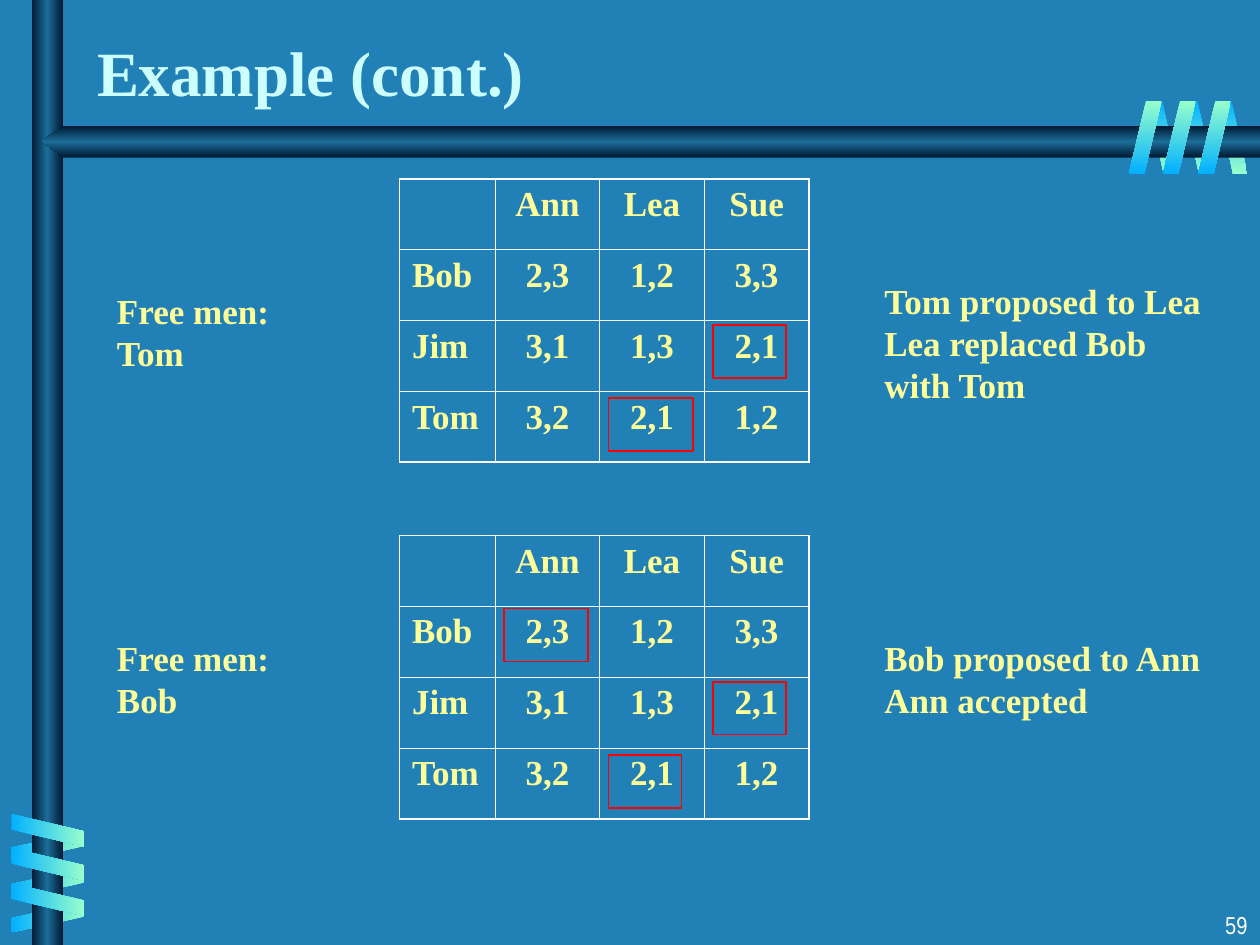
from dataclasses import dataclass

from lxml import etree
from pptx import Presentation
from pptx import util as u
from pptx.dml.color import RGBColor
from pptx.enum import shapes, text
from pptx.oxml import ns


@dataclass(frozen=True)
class Theme:
    background: str = "2181B7"
    title: str = "CCFFFF"
    body: str = "FFFF99"
    white: str = "FFFFFF"
    mark: str = "FF0000"
    mint: str = "99FFCC"
    sky: str = "01B0FF"
    bar_edge: str = "001932"
    bar_middle: str = "1C6D9A"
    serif: str = "Times New Roman"
    narrow: str = "Arial Narrow"
    title_size: int = 36
    body_size: int = 20
    number_size: int = 14
    outer_line: float = 1.08
    inner_line: float = 0.45


THEME = Theme()
BODY = dict(name=THEME.serif, size=u.Pt(THEME.body_size), bold=True, color=THEME.body)
TITLE = dict(BODY, size=u.Pt(THEME.title_size), color=THEME.title)
NUMBER = dict(name=THEME.narrow, size=u.Pt(THEME.number_size), bold=False, color=THEME.white)
SHAPE = shapes.MSO_SHAPE
ALIGN = text.PP_ALIGN
NAMES = ["Ann", "Lea", "Sue"]
PREFERENCES = [
    ["", *NAMES],
    ["Bob", "2,3", "1,2", "3,3"],
    ["Jim", "3,1", "1,3", "2,1"],
    ["Tom", "3,2", "2,1", "1,2"],
]


def inches(*lengths):
    return [u.Inches(length) for length in lengths]


def write(frame, words, style, align=ALIGN.LEFT):
    """Fill a text frame; a vertical tab in the words is a line break."""
    frame.text = words
    para = frame.paragraphs[0]
    para.alignment = align
    for span in para.runs:
        for key, value in style.items():
            if key == "color":
                span.font.color.rgb = RGBColor.from_string(value)
            else:
                setattr(span.font, key, value)


def add_note(page, at, words, style=BODY, align=ALIGN.LEFT):
    box = page.shapes.add_textbox(*inches(*at))
    box.text_frame.word_wrap = True
    write(box.text_frame, words, style, align)


def paint_gradient(shape, colors, angle):
    """Paint evenly spaced colours at a clockwise angle that ignores rotation."""
    shape.shadow.inherit = False
    shape.line.fill.background()
    shape.fill.gradient()
    gradient = shape.fill._xPr.find(ns.qn("a:gradFill"))
    gradient.set("rotWithShape", "0")
    stops = gradient.find(ns.qn("a:gsLst"))
    for stop in list(stops):
        stops.remove(stop)
    for index, color in enumerate(colors):
        position = str(100000 * index // (len(colors) - 1))
        stop = etree.SubElement(stops, ns.qn("a:gs"), pos=position)
        etree.SubElement(stop, ns.qn("a:srgbClr"), val=color)
    shape.fill.gradient_angle = (360 - angle) % 360


def add_coil(page, places, size, colors, angle, rotation=0, flipped=False):
    """One side of a spiral: three equal slanted strips."""
    for place in places:
        strip = page.shapes.add_shape(SHAPE.PARALLELOGRAM, *inches(*place, *size))
        strip.adjustments[0] = 0.53
        strip.rotation = rotation
        if flipped:
            strip._element.spPr.find(ns.qn("a:xfrm")).set("flipH", "1")
        paint_gradient(strip, colors, angle)


def add_decoration(page):
    rising, falling = (THEME.sky, THEME.mint), (THEME.mint, THEME.sky)
    bar_colors = (THEME.bar_edge, THEME.bar_middle, THEME.bar_edge)
    back, front = (0.24, 0.58), (0.26, 0.58)

    # Far sides of both spirals
    add_coil(page, [(x, 0.8) for x in (9.66, 9.39, 9.11)], back, rising, 90, 180, True)
    add_coil(page, [(0.26, y) for y in (6.43, 6.72, 6.99)], back, falling, 0, 90, True)

    # Vertical and horizontal bars
    post = page.shapes.add_shape(SHAPE.RECTANGLE, *inches(0.25, 0, 0.25, 7.5))
    paint_gradient(post, bar_colors, 0)
    outline = page.shapes.build_freeform(*inches(10, 1), scale=1.0)
    corners = [(0.5, 1), (0.33, 1.12), (0.5, 1.25), (10, 1.25)]
    outline.add_line_segments([inches(*corner) for corner in corners], close=True)
    paint_gradient(outline.convert_to_shape(), bar_colors, 90)

    # Near sides of both spirals
    add_coil(page, [(0.25, y) for y in (6.3, 6.57, 6.85)], front, rising, 0, 270)
    add_coil(page, [(x, 0.8) for x in (9.51, 9.23, 8.96)], front, falling, 90)


def add_title(page, at, words):
    title = page.shapes.title
    for key, value in zip(("left", "top", "width", "height"), inches(*at)):
        setattr(title, key, value)
    frame = title.text_frame
    frame.auto_size = text.MSO_AUTO_SIZE.NONE
    frame.vertical_anchor = text.MSO_ANCHOR.BOTTOM
    write(frame, words, TITLE)


def set_borders(cell, outer_sides):
    """Rule all four sides, heavier on the outside of the table."""
    properties = cell._tc.get_or_add_tcPr()
    for index, side in enumerate("LRTB"):
        width = THEME.outer_line if side in outer_sides else THEME.inner_line
        line = etree.Element(ns.qn("a:ln" + side), w=str(u.Pt(width)))
        fill = etree.SubElement(line, ns.qn("a:solidFill"))
        etree.SubElement(fill, ns.qn("a:srgbClr"), val=THEME.white)
        properties.insert(index, line)


def add_preferences(page, left, top):
    last = len(PREFERENCES) - 1
    size = last + 1
    grid = page.shapes.add_table(size, size, *inches(left, top, 3.25, 2.25)).table
    grid.first_row = grid.horz_banding = False
    for column, width in zip(grid.columns, inches(0.76, 0.83, 0.83, 0.83)):
        column.width = width
    for r, row in enumerate(PREFERENCES):
        for c, words in enumerate(row):
            cell = grid.cell(r, c)
            cell.fill.background()
            edges = {"L": c == 0, "R": c == last, "T": r == 0, "B": r == last}
            set_borders(cell, [side for side, outer in edges.items() if outer])
            if words:
                write(cell.text_frame, words, BODY, ALIGN.CENTER if c else ALIGN.LEFT)


def add_round(page, top, free, free_offset, outcome, outcome_height, marks):
    """Free men, the preference table with its matches, and what happened."""
    left = 3.17
    add_note(page, (0.83, top + free_offset, 2.25, 0.77), "Free men:\v" + free)
    add_preferences(page, left, top)
    add_note(page, (6.92, top + 0.75, 2.83, outcome_height), outcome)
    for row, column, width in marks:
        place = inches(left + 0.83 * column, top + 0.58 * row, width, 0.42)
        mark = page.shapes.add_shape(SHAPE.RECTANGLE, *place)
        mark.shadow.inherit = False
        mark.fill.background()
        mark.line.color.rgb = RGBColor.from_string(THEME.mark)
        mark.line.width = u.Pt(1)


def main():
    deck = Presentation()
    deck.slide_width, deck.slide_height = inches(10, 7.5)
    page = deck.slides.add_slide(deck.slide_layouts[5])
    page.background.fill.solid()
    page.background.fill.fore_color.rgb = RGBColor.from_string(THEME.background)

    add_decoration(page)
    add_note(page, (7.92, 7.17, 2.08, 0.33), "59", NUMBER, ALIGN.RIGHT)
    add_title(page, (0.67, 0.17, 8.3, 0.75), "Example (cont.)")
    add_round(page, 1.42, "Tom", 0.83, "Tom proposed to Lea\vLea replaced Bob with Tom",
              1.1, [(3, 2, 0.67), (2, 3, 0.58)])
    add_round(page, 4.25, "Bob", 0.75, "Bob proposed to Ann\vAnn accepted",
              0.77, [(1, 1, 0.67), (2, 3, 0.58), (3, 2, 0.58)])
    deck.save("out.pptx")


if __name__ == "__main__":
    main()
